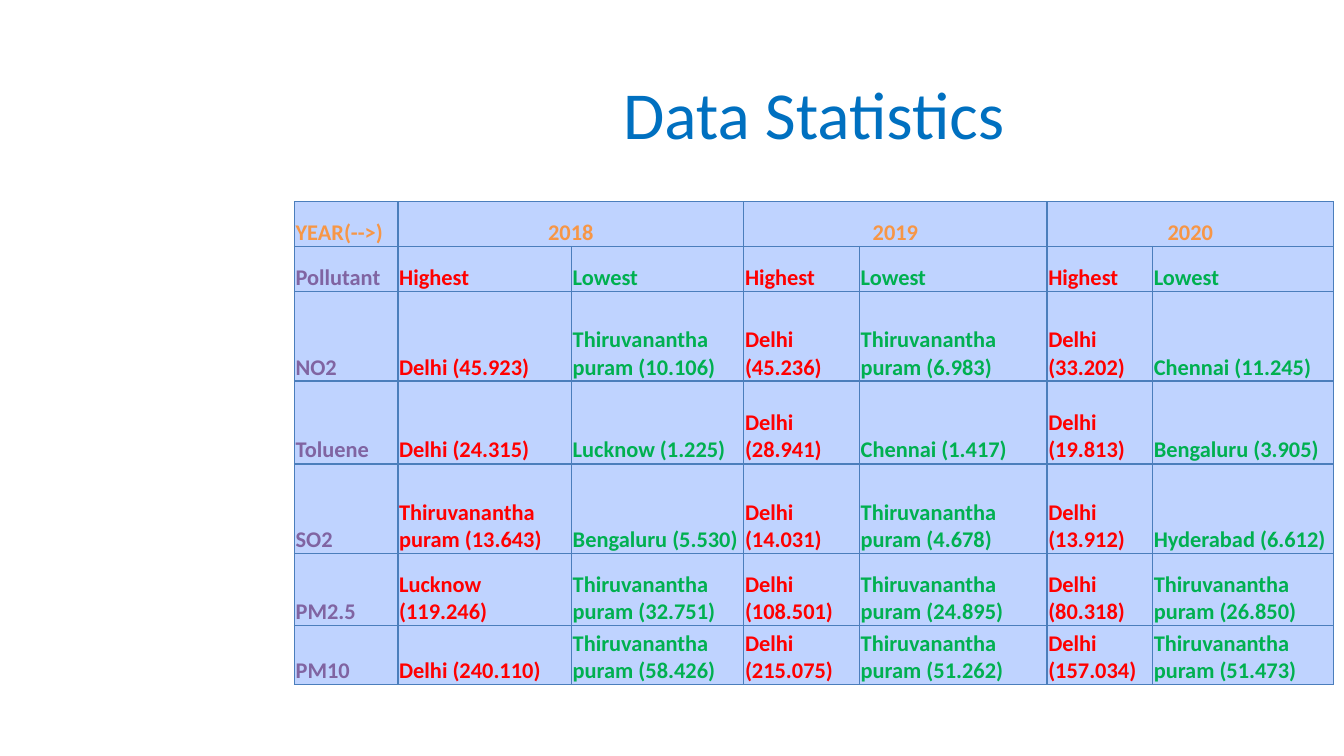
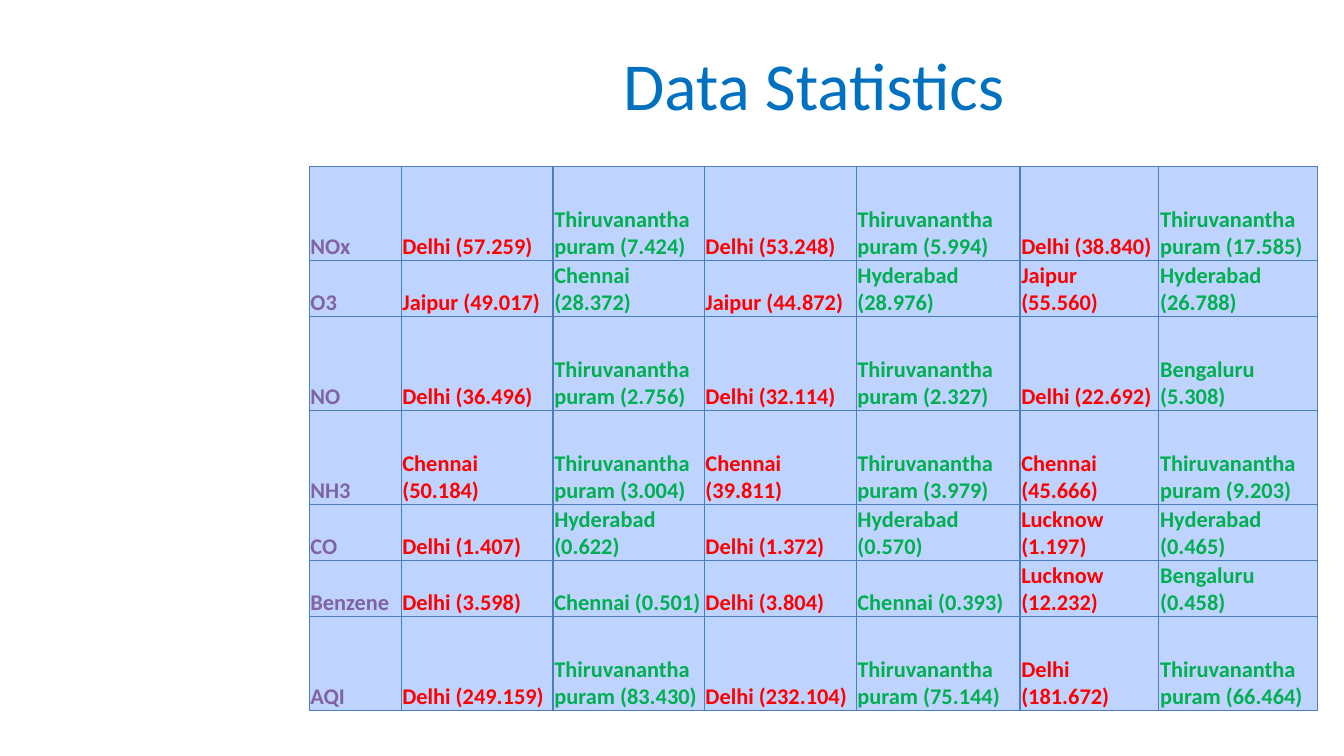
import pptx
import pptx.util
import pptx.dml.color
import pptx.enum.text
import pptx.oxml.ns
import lxml.etree

Pt = pptx.util.Pt
FONT = "Calibri"
COLORS = {
    "title": "0070C0",
    "year": "F79646",
    "pollutant": "8064A2",
    "highest": "FF0000",
    "lowest": "00B050",
    "cell": "BFD3FF",
    "border": "4B7EBC",
}
COLUMN_COLORS = ["pollutant"] + ["highest", "lowest"] * 3
CAPITAL = "Thiruvanantha\npuram"

SLIDES = [
    {
        "title_top": 31.7,
        "table_left": 157.7,
        "table_top": 108,
        "widths": [55.5, 93, 92.3, 62, 100.5, 56.5, 97],
        "heights": [24, 24, 48.2, 44.4, 48, 38.7, 31.6],
        "rows": [
            ["YEAR(-->)", "2018", "", "2019", "", "2020", ""],
            ["Pollutant"] + ["Highest", "Lowest"] * 3,
            ["NO2", "Delhi (45.923)", f"{CAPITAL} (10.106)", "Delhi (45.236)",
             f"{CAPITAL} (6.983)", "Delhi (33.202)", "Chennai (11.245)"],
            ["Toluene", "Delhi (24.315)", "Lucknow (1.225)", "Delhi (28.941)",
             "Chennai (1.417)", "Delhi (19.813)", "Bengaluru (3.905)"],
            ["SO2", f"{CAPITAL} (13.643)", "Bengaluru (5.530)", "Delhi (14.031)",
             f"{CAPITAL} (4.678)", "Delhi (13.912)", "Hyderabad (6.612)"],
            ["PM2.5", "Lucknow (119.246)", f"{CAPITAL} (32.751)", "Delhi (108.501)",
             f"{CAPITAL} (24.895)", "Delhi (80.318)", f"{CAPITAL} (26.850)"],
            ["PM10", "Delhi (240.110)", f"{CAPITAL} (58.426)", "Delhi (215.075)",
             f"{CAPITAL} (51.262)", "Delhi (157.034)", f"{CAPITAL} (51.473)"],
        ],
    },
    {
        "title_top": 16.6,
        "table_left": 165.6,
        "table_top": 89.2,
        "widths": [49.3, 81.4, 81, 81.4, 87.8, 74.4, 85],
        "heights": [50.4, 25.2, 50.4, 50.4, 25.2, 25.2, 50.4],
        "rows": [
            ["NOx", "Delhi (57.259)", f"{CAPITAL} (7.424)", "Delhi (53.248)",
             f"{CAPITAL} (5.994)", "Delhi (38.840)", f"{CAPITAL} (17.585)"],
            ["O3", "Jaipur (49.017)", "Chennai (28.372)", "Jaipur (44.872)",
             "Hyderabad (28.976)", "Jaipur (55.560)", "Hyderabad (26.788)"],
            ["NO", "Delhi (36.496)", f"{CAPITAL} (2.756)", "Delhi (32.114)",
             f"{CAPITAL} (2.327)", "Delhi (22.692)", "Bengaluru (5.308)"],
            ["NH3", "Chennai (50.184)", f"{CAPITAL} (3.004)", "Chennai (39.811)",
             f"{CAPITAL} (3.979)", "Chennai (45.666)", f"{CAPITAL} (9.203)"],
            ["CO", "Delhi (1.407)", "Hyderabad (0.622)", "Delhi (1.372)",
             "Hyderabad (0.570)", "Lucknow (1.197)", "Hyderabad (0.465)"],
            ["Benzene", "Delhi (3.598)", "Chennai (0.501)", "Delhi (3.804)",
             "Chennai (0.393)", "Lucknow (12.232)", "Bengaluru (0.458)"],
            ["AQI", "Delhi (249.159)", f"{CAPITAL} (83.430)", "Delhi (232.104)",
             f"{CAPITAL} (75.144)", "Delhi (181.672)", f"{CAPITAL} (66.464)"],
        ],
    },
]


def write_text(para, text, size, color, bold=False):
    """Add one run per line, with line breaks between them."""
    for number, line in enumerate(text.split("\n")):
        if number:
            para.add_line_break()
        span = para.add_run()
        span.text = line
        span.font.name = FONT
        span.font.size = Pt(size)
        span.font.bold = bold
        span.font.color.rgb = pptx.dml.color.RGBColor.from_string(COLORS[color])


def style_cell(cell):
    cell.margin_left = cell.margin_top = cell.margin_right = Pt(0.7)
    cell.margin_bottom = Pt(0)
    cell.vertical_anchor = pptx.enum.text.MSO_ANCHOR.BOTTOM
    qn = pptx.oxml.ns.qn
    properties = cell._tc.get_or_add_tcPr()
    for side in ("a:lnL", "a:lnR", "a:lnT", "a:lnB"):
        line = lxml.etree.SubElement(properties, qn(side), w=str(Pt(0.75)))
        fill = lxml.etree.SubElement(line, qn("a:solidFill"))
        lxml.etree.SubElement(fill, qn("a:srgbClr"), val=COLORS["border"])
    cell.fill.solid()
    cell.fill.fore_color.rgb = pptx.dml.color.RGBColor.from_string(COLORS["cell"])


deck = pptx.Presentation()
deck.slide_width = Pt(720)
deck.slide_height = Pt(405)
title_only = deck.slide_layouts[5]

for content in SLIDES:
    page = deck.slides.add_slide(title_only)

    title = page.shapes.title
    title.left, title.top = Pt(188.6), Pt(content["title_top"])
    title.width, title.height = Pt(494.6), Pt(56.9)
    title.text_frame.vertical_anchor = pptx.enum.text.MSO_ANCHOR.MIDDLE
    para = title.text_frame.paragraphs[0]
    para.alignment = pptx.enum.text.PP_ALIGN.CENTER
    write_text(para, "Data Statistics", 36, "title")

    rows, widths, heights = content["rows"], content["widths"], content["heights"]
    table = page.shapes.add_table(
        len(rows), len(widths), Pt(content["table_left"]), Pt(content["table_top"]),
        Pt(sum(widths)), Pt(sum(heights))).table
    table.first_row = table.horz_banding = False
    for column, width in zip(table.columns, widths):
        column.width = Pt(width)
    for table_row, height in zip(table.rows, heights):
        table_row.height = Pt(height)

    for row_index, row in enumerate(rows):
        is_year_row = row[0].startswith("YEAR")
        for column_index, text in enumerate(row):
            cell = table.cell(row_index, column_index)
            style_cell(cell)
            if not text:
                continue
            para = cell.text_frame.paragraphs[0]
            color = "year" if is_year_row else COLUMN_COLORS[column_index]
            write_text(para, text, 12, color, bold=True)
            if is_year_row and column_index:
                para.alignment = pptx.enum.text.PP_ALIGN.CENTER
                cell.merge(table.cell(row_index, column_index + 1))

deck.save("out.pptx")
